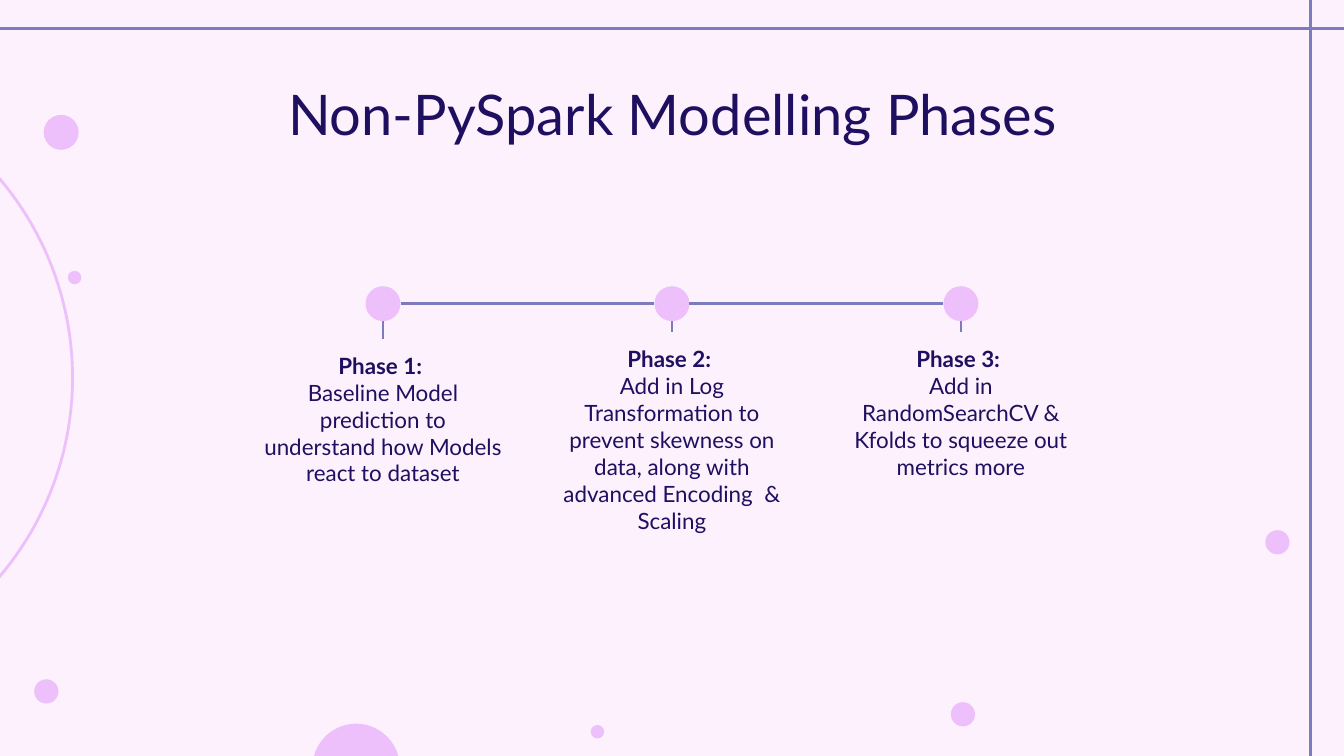
"""Build the slide showing the three modelling phases on a timeline."""
from lxml import etree
from pptx import Presentation
from pptx.dml.color import RGBColor
from pptx.enum.shapes import MSO_CONNECTOR, MSO_SHAPE
from pptx.enum.text import MSO_ANCHOR, PP_ALIGN
from pptx.oxml.ns import qn
from pptx.util import Inches, Pt

STRAIGHT = MSO_CONNECTOR.STRAIGHT
OVAL = MSO_SHAPE.OVAL
TOP = MSO_ANCHOR.TOP
CENTER = PP_ALIGN.CENTER

BACKGROUND = RGBColor(0xFC, 0xF1, 0xFC)
PINK = RGBColor(0xEE, 0xC0, 0xFB)
VIOLET = RGBColor(0x7B, 0x7B, 0xBE)
NAVY = RGBColor(0x1F, 0x0F, 0x61)
FONT = "Lato"

WIDTH = 10
HEIGHT = WIDTH * 9 / 16
DOTS = [
    (0.26, 5.06, 0.17),
    (0.33, 0.86, 0.25),
    (7.08, 5.23, 0.17),
    (4.4, 5.4, 0.09),
    (0.51, 2.02, 0.09),
    (9.42, 3.95, 0.17),
    (2.33, 5.39, 0.64),
]
PHASES = [
    ("Phase 1: ", "Baseline Model prediction to understand how Models react to dataset", 2.52, 0.93),
    ("Phase 2: ", "Add in Log Transformation to prevent skewness on data, "
     "along with advanced Encoding  & Scaling", 2.47, 1.46),
    ("Phase 3: ", "Add in RandomSearchCV & Kfolds to squeeze out metrics more", 2.47, 0.93),
]
FIRST_CENTER, PHASE_STEP = 2.85, 2.15
TIMELINE_Y, NODE_RADIUS, PHASE_WIDTH = 2.26, 0.13, 1.98

presentation = Presentation()
presentation.slide_width = Inches(WIDTH)
presentation.slide_height = Inches(HEIGHT)
slide = presentation.slides.add_slide(presentation.slide_layouts[6])
slide.background.fill.solid()
slide.background.fill.fore_color.rgb = BACKGROUND


def add_text(paragraphs, left, top, width, height, size, bold_first=False):
    text_box = slide.shapes.add_textbox(Inches(left), Inches(top), Inches(width), Inches(height))
    frame = text_box.text_frame
    frame.word_wrap = True
    frame.vertical_anchor = TOP
    frame.margin_left = frame.margin_right = Inches(0.1)
    frame.margin_top = frame.margin_bottom = Inches(0.1)
    frame.text = "\n".join(paragraphs)
    for index, paragraph in enumerate(frame.paragraphs):
        paragraph.alignment = CENTER
        font = paragraph.runs[0].font
        font.name = FONT
        font.size = Pt(size)
        font.bold = bold_first and index == 0
        font.color.rgb = NAVY


def add_circle(left, top, diameter):
    shape = slide.shapes.add_shape(
        OVAL, Inches(left), Inches(top), Inches(diameter), Inches(diameter))
    shape.shadow.inherit = False
    shape.fill.solid()
    shape.fill.fore_color.rgb = PINK
    shape.line.color.rgb = PINK
    shape.line.width = Pt(0.75)
    return shape


ring = add_circle(-4.04, 0.52, 4.58)
ring.fill.background()
ring.line.width = Pt(1.5)
for dot in DOTS:
    add_circle(*dot)

add_text(["Non-PySpark Modelling Phases"], 0.79, 0.49, 8.43, 0.63, size=30)

lines = [(9.75, 0, 9.75, HEIGHT), (0, 0.21, WIDTH, 0.21)]
for index, (heading, description, top, height) in enumerate(PHASES):
    center = FIRST_CENTER + index * PHASE_STEP
    node = add_circle(center - NODE_RADIUS, TIMELINE_Y - NODE_RADIUS, 2 * NODE_RADIUS)
    node.line.fill.background()
    add_text([heading, description], center - PHASE_WIDTH / 2, top, PHASE_WIDTH, height,
             size=12, bold_first=True)
    lines.append((center, TIMELINE_Y + NODE_RADIUS, center, top))
    if index > 0:
        lines.append((center - PHASE_STEP + NODE_RADIUS, TIMELINE_Y,
                      center - NODE_RADIUS, TIMELINE_Y))

for line in lines:
    connector = slide.shapes.add_connector(STRAIGHT, *[Inches(value) for value in line])
    connector.line.color.rgb = VIOLET
    connector.line.width = Pt(1.5)
    etree.SubElement(connector._element.spPr, qn("a:effectLst"))

presentation.save("out.pptx")
